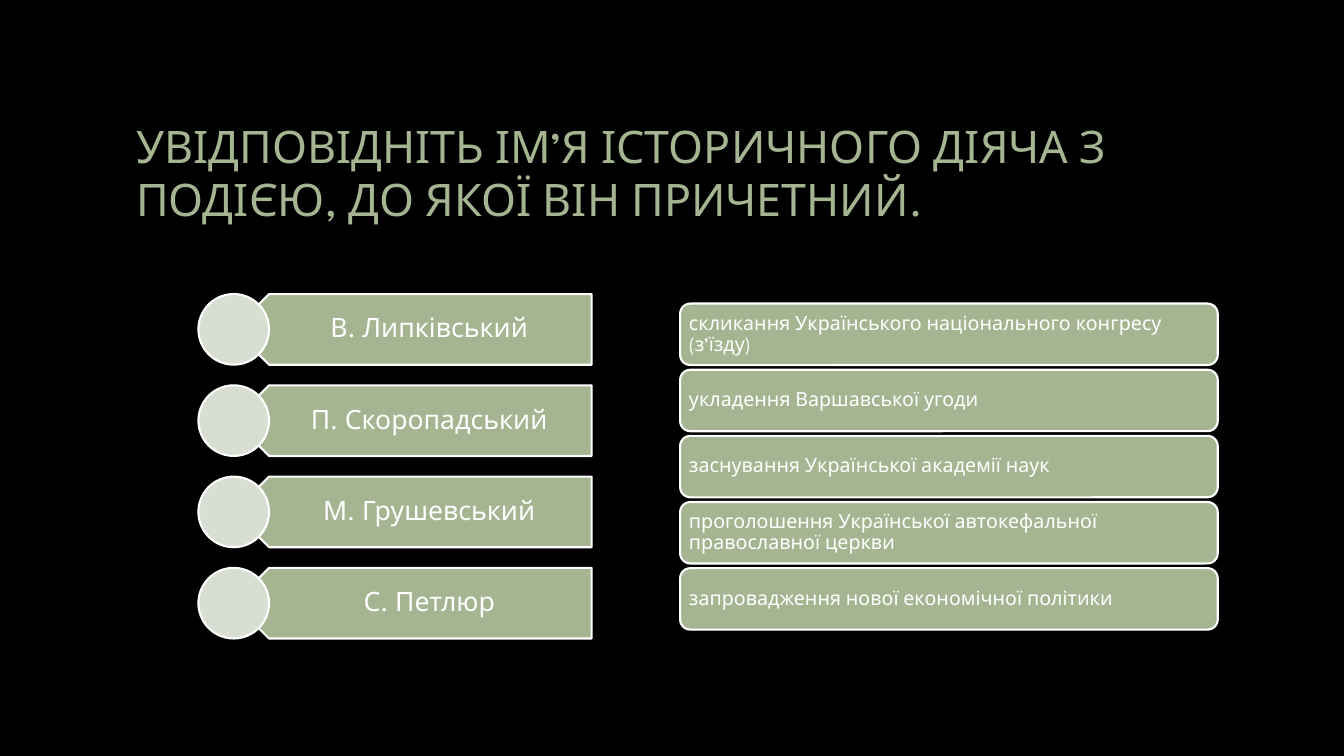
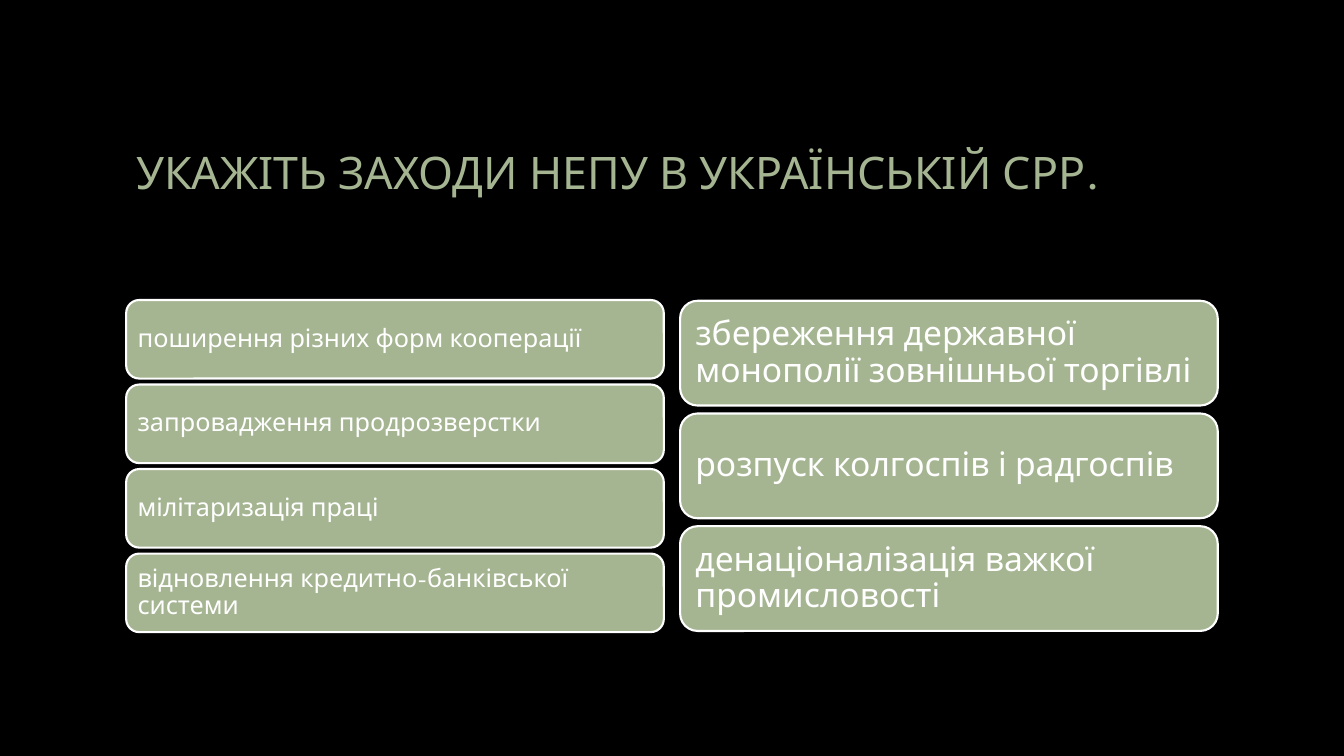
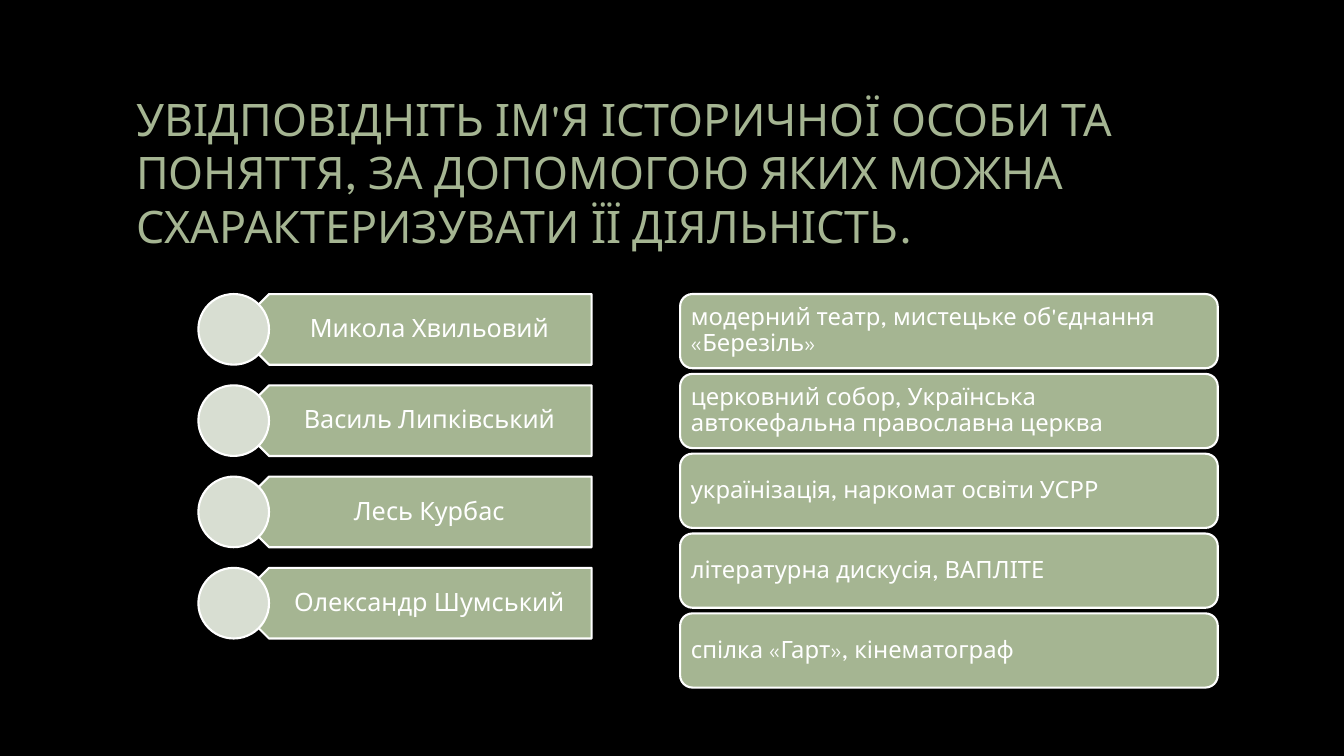
from pptx import Presentation
from pptx.dml.color import RGBColor
from pptx.enum.shapes import MSO_SHAPE
from pptx.enum.text import MSO_ANCHOR, PP_ALIGN
from pptx.util import Cm, Pt


def color(hex_code):
    """Turn a hex string into a colour."""
    return RGBColor.from_string(hex_code)


def write(frame, text, size, ink, align=PP_ALIGN.LEFT, spacing=1.0, margins=(0.25, 0.13, 0.25, 0.13)):
    """Write one formatted paragraph into a vertically centred frame."""
    frame.word_wrap = True
    frame.vertical_anchor = MSO_ANCHOR.MIDDLE
    (frame.margin_left, frame.margin_top,
     frame.margin_right, frame.margin_bottom) = [Cm(margin) for margin in margins]
    paragraph = frame.paragraphs[0]
    paragraph.alignment = align
    paragraph.line_spacing = spacing
    run = paragraph.add_run()
    run.text = text
    run.font.name = Deck.FONT
    run.font.size = Pt(size)
    run.font.color.rgb = color(ink)


class Deck:
    """Hold the quiz style and the current slide."""

    FONT = "League Spartan"
    BLACK, WHITE, SAGE, PALE = "000000", "FFFFFF", "A5B592", "D8DED2"
    LEFT_COLUMN, RIGHT_COLUMN = 3.18, 17.14
    CARD_WIDTH = 13.55
    NAMES_TOP, NAME_HEIGHT, NAME_PITCH = 7.41, 1.78, 2.3

    def __init__(self):
        """Start an empty widescreen presentation."""
        self.presentation = Presentation()
        self.presentation.slide_width = Cm(33.87)
        self.presentation.slide_height = Cm(19.05)
        self.slide = None

    def question(self, text):
        """Add a slide headed by a question."""
        self.slide = self.presentation.slides.add_slide(self.presentation.slide_layouts[6])
        background = self.slide.background.fill
        background.solid()
        background.fore_color.rgb = color(self.BLACK)
        self.label(text, 3.18, 1.69, 27.52, 5.29, size=32, ink=self.SAGE)

    def label(self, text, left, top, width, height, **style):
        """Add a text box."""
        box = self.slide.shapes.add_textbox(Cm(left), Cm(top), Cm(width), Cm(height))
        write(box.text_frame, text, **style)

    def outlined(self, preset, left, top, width, height, fill):
        """Add a filled shape with a white outline."""
        shape = self.slide.shapes.add_shape(preset, Cm(left), Cm(top), Cm(width), Cm(height))
        shape.shadow.inherit = False
        shape.fill.solid()
        shape.fill.fore_color.rgb = color(fill)
        shape.line.color.rgb = color(self.WHITE)
        shape.line.width = Pt(1.5)
        return shape

    def names(self, people, size):
        """Stack name plates, each with a round marker."""
        for row, person in enumerate(people):
            top = self.NAMES_TOP + row * self.NAME_PITCH
            plate = self.outlined(MSO_SHAPE.PENTAGON, 5.89, top, 9.02, self.NAME_HEIGHT, self.SAGE)
            plate.rotation = 180
            self.label(person, 6.33, top, 8.56, self.NAME_HEIGHT, size=size, ink=self.WHITE,
                       align=PP_ALIGN.CENTER, spacing=0.9, margins=(0.79, 0.19, 0.37, 0.19))
            self.outlined(MSO_SHAPE.OVAL, 5, top, self.NAME_HEIGHT, self.NAME_HEIGHT, self.PALE)

    def cards(self, answers, left, top, height, size):
        """Stack answer cards with gaps and margins that follow the text size."""
        pitch = height + size / 120
        for row, answer in enumerate(answers):
            card = self.outlined(MSO_SHAPE.ROUNDED_RECTANGLE, left, top + row * pitch,
                                 self.CARD_WIDTH, height, self.SAGE)
            write(card.text_frame, answer, size=size, ink=self.WHITE, spacing=0.9,
                  margins=(size / 94,) * 4)


def main():
    """Build the three quiz slides."""
    deck = Deck()

    deck.question("УВІДПОВІДНІТЬ ІМ’Я ІСТОРИЧНОГО ДІЯЧА З ПОДІЄЮ, ДО ЯКОЇ ВІН ПРИЧЕТНИЙ.")
    deck.names(["В. Липківський", "П. Скоропадський", "М. Грушевський", "С. Петлюр"], size=19)
    deck.cards([
        "скликання Українського національного конгресу (з’їзду)",
        "укладення Варшавської угоди",
        "заснування Української академії наук",
        "проголошення Української автокефальної православної церкви",
        "запровадження нової економічної політики",
    ], deck.RIGHT_COLUMN, top=7.65, height=1.55, size=14)

    deck.question("УКАЖІТЬ ЗАХОДИ НЕПУ В УКРАЇНСЬКІЙ СРР.")
    deck.cards([
        "поширення різних форм кооперації",
        "запровадження продрозверстки",
        "мілітаризація праці",
        "відновлення кредитно-банківської системи",
    ], deck.LEFT_COLUMN, top=7.56, height=1.98, size=18)
    deck.cards([
        "збереження державної монополії зовнішньої торгівлі",
        "розпуск колгоспів і радгоспів",
        "денаціоналізація важкої промисловості",
    ], deck.RIGHT_COLUMN, top=7.58, height=2.64, size=24)

    deck.question("УВІДПОВІДНІТЬ ІМ'Я ІСТОРИЧНОЇ ОСОБИ ТА ПОНЯТТЯ, "
                  "ЗА ДОПОМОГОЮ ЯКИХ МОЖНА СХАРАКТЕРИЗУВАТИ ЇЇ ДІЯЛЬНІСТЬ.")
    deck.names(["Микола Хвильовий", "Василь Липківський", "Лесь Курбас", "Олександр Шумський"], size=18)
    deck.cards([
        "модерний театр, мистецьке об'єднання «Березіль»",
        "церковний собор, Українська автокефальна православна церква",
        "українізація, наркомат освіти УСРР",
        "літературна дискусія, ВАПЛІТЕ",
        "спілка «Гарт», кінематограф",
    ], deck.RIGHT_COLUMN, top=7.41, height=1.87, size=17)

    deck.presentation.save("out.pptx")


if __name__ == "__main__":
    main()
